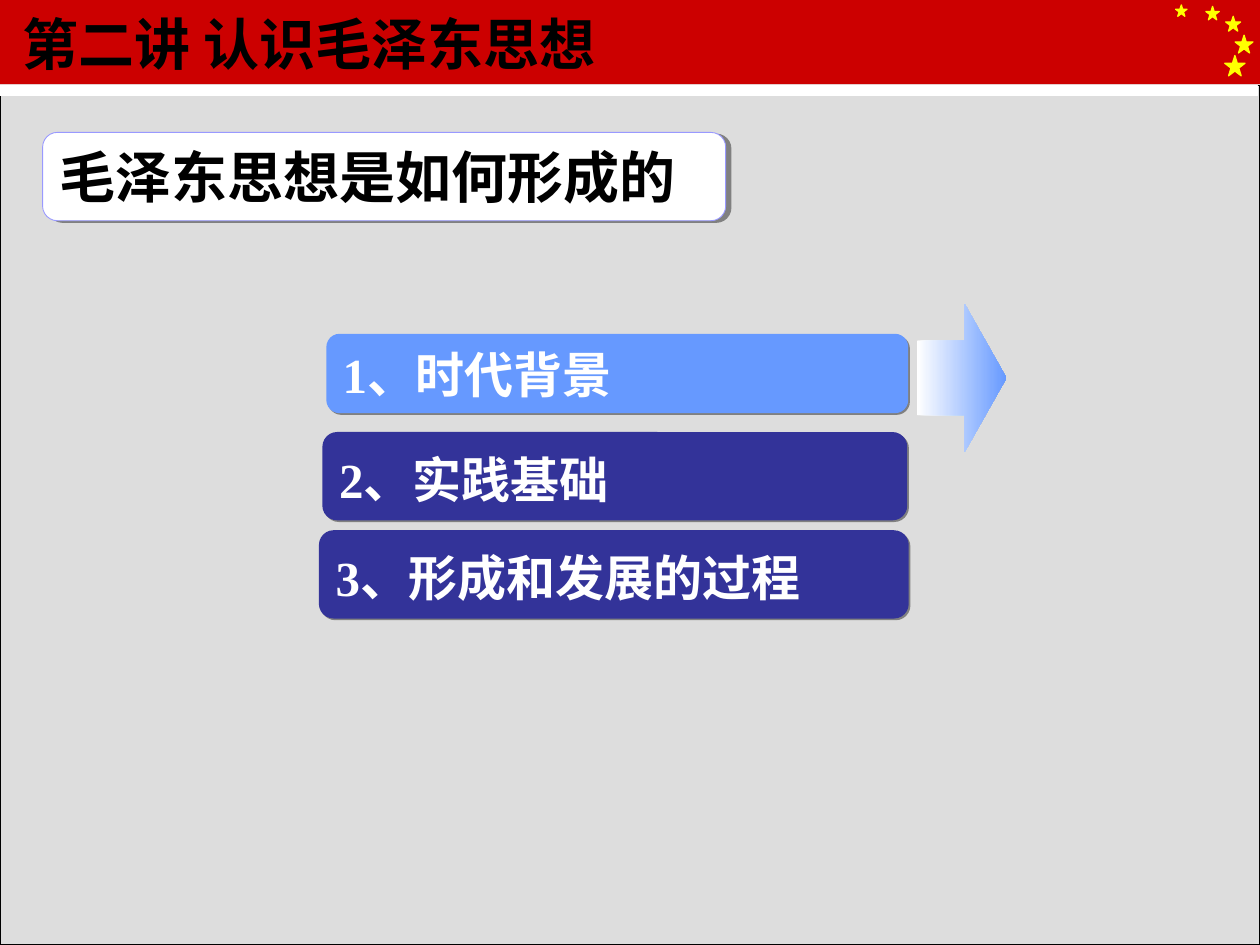
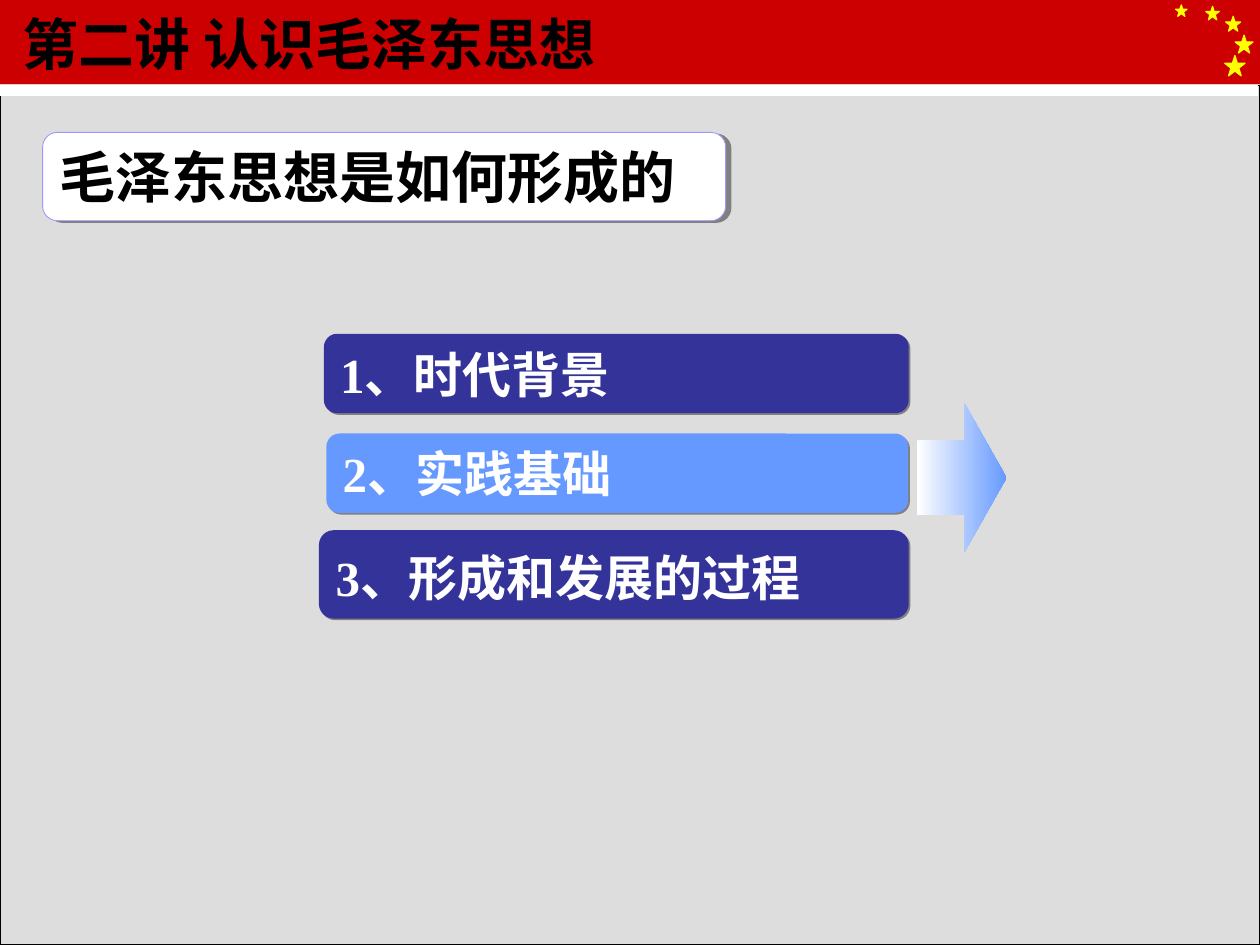
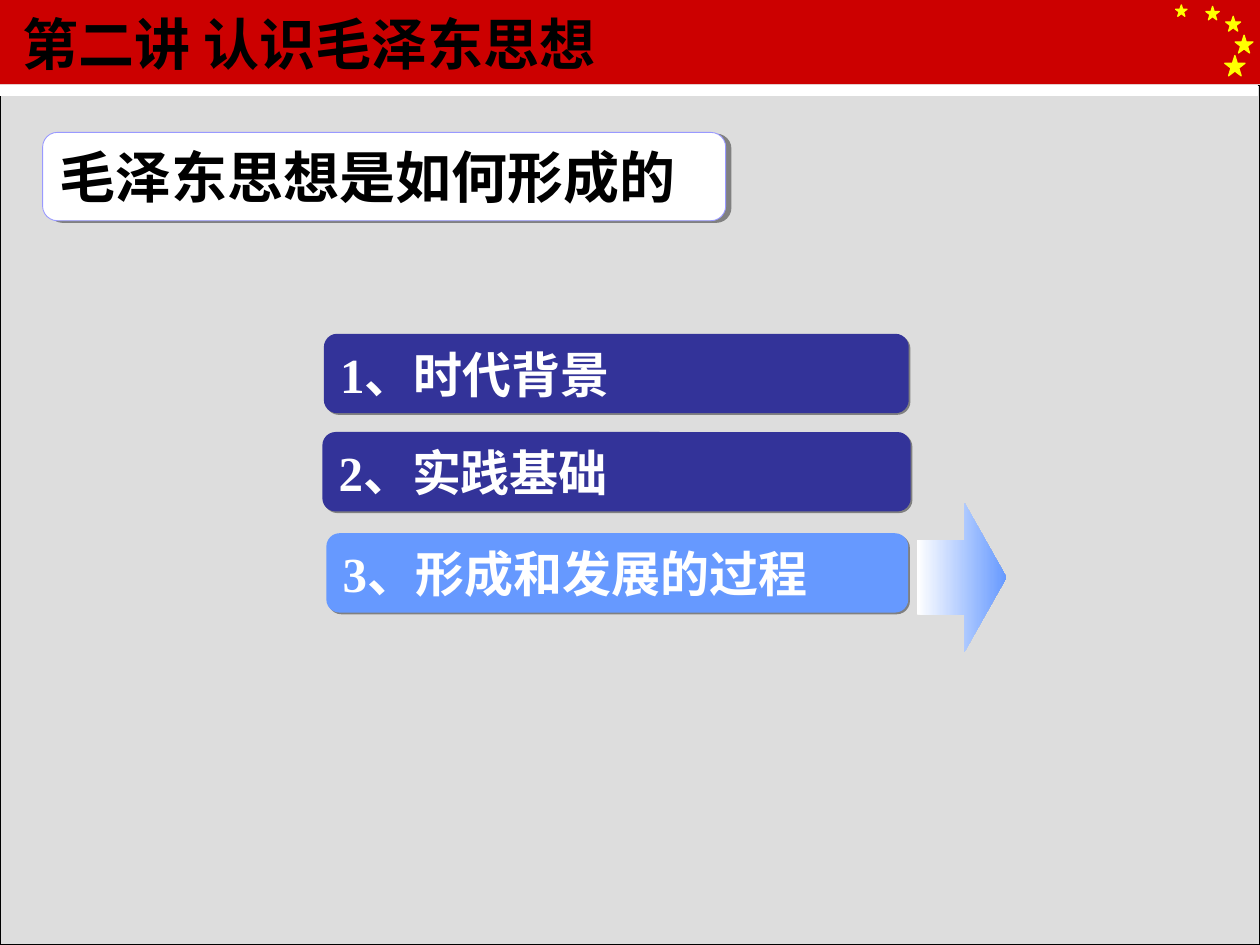
"""Three outline slides, each pointing at the topic that comes next."""
from lxml import etree
from pptx import Presentation
from pptx import util as u
from pptx.dml.color import RGBColor
from pptx.enum import shapes, text
from pptx.oxml import ns

HUE = {
    "back": "EAEAEA", "red": "CC0000", "star": "FFFF00", "body": "DDDDDD",
    "white": "FFFFFF", "black": "000000", "edge": "9999FF", "shade": "808080",
    "live": "6699FF", "idle": "333399",
}
HAN, ROMAN = "Noto Sans CJK SC", "Times New Roman"
KIND = shapes.MSO_SHAPE
TITLE = "第二讲 认识毛泽东思想"
HEAD = "毛泽东思想是如何形成的"
TOPICS = ["1、时代背景", "2、实践基础", "3、形成和发展的过程"]
STARS = [(23.7, 0.1, 0.23), (24.31, 0.13, 0.27), (24.71, 0.33, 0.3),
         (24.9, 0.71, 0.36), (24.69, 1.12, 0.41)]
LOW, TALL = 1.6, 1.78
TOP, STEP = 6.73, 2.01
FIRST = (6.53, TOP, 11.79, LOW)
LAST = (6.43, 10.69, 11.89, TALL)
PAGES = [
    {1: (6.5, 8.71, 11.79, TALL), 2: LAST},
    {0: FIRST, 2: LAST},
    {0: FIRST, 1: (6.5, 8.71, 11.86, LOW)},
]


def tint(name):
    """Return the named colour."""
    return RGBColor.from_string(HUE[name])


def draw(slide, kind, box, fill=None, line=None, width=0.75):
    """Add a flat preset shape; box is left, top, width, height in cm."""
    item = slide.shapes.add_shape(kind, *map(u.Cm, box))
    item.shadow.inherit = False
    if fill:
        item.fill.solid()
        item.fill.fore_color.rgb = tint(fill)
    if line:
        item.line.color.rgb = tint(line)
        item.line.width = u.Pt(width)
    else:
        item.line.fill.background()
    return item


def style(run, size, hue, face):
    """Format one bold run."""
    font = run.font
    font.size, font.bold, font.name = u.Pt(size), True, face
    font.color.rgb = tint(hue)
    east = etree.SubElement(font._element, ns.qn("a:ea"))
    east.set("typeface", HAN)


def write(item, words, size, hue, face):
    """Put one left-aligned line in the vertical middle of an item."""
    frame = item.text_frame
    frame.text = words
    frame.word_wrap = True
    frame.vertical_anchor = text.MSO_ANCHOR.MIDDLE
    line = frame.paragraphs[0]
    line.alignment = text.PP_ALIGN.LEFT
    style(line.runs[0], size, hue, face)
    return line


def shade(item, dist, angle):
    """Give an item a hard grey shadow."""
    effects = item._element.spPr.find(ns.qn("a:effectLst"))
    outer = etree.SubElement(effects, ns.qn("a:outerShdw"), blurRad="0",
                             dist=str(u.Pt(dist)), dir=str(angle * 60000),
                             algn="ctr", rotWithShape="0")
    etree.SubElement(outer, ns.qn("a:srgbClr"), val=HUE["shade"])


def frame(slide):
    """Draw the background, banner, stars and both headings."""
    slide.background.fill.solid()
    slide.background.fill.fore_color.rgb = tint("back")
    draw(slide, KIND.RECTANGLE, (0, 0, 25.4, 1.7), "red")
    for left, top, size in STARS:
        draw(slide, KIND.STAR_5_POINT, (left, top, size, size), "star", "star")
    draw(slide, KIND.RECTANGLE, (0, 1.73, 25.4, 17.32), "body", "black")
    draw(slide, KIND.RECTANGLE, (0, 1.73, 25.35, 0.2), "white", "white")
    title = slide.shapes.add_textbox(*map(u.Cm, (0.2, 0, 18.9, 1.73)))
    write(title, TITLE, 32, "black", HAN)
    head = draw(slide, KIND.ROUNDED_RECTANGLE, (0.86, 2.67, 13.77, TALL),
                "white", "edge", 0.5)
    shade(head, 3.2, 18)
    write(head, HEAD, 32, "black", HAN)


def bar(slide, words, box, fill):
    """Draw a topic bar; a tall one ends with a larger space."""
    item = draw(slide, KIND.ROUNDED_RECTANGLE, box, fill)
    shade(item, 1.4, 45)
    line = write(item, words, 28, "white", ROMAN)
    if box[3] == TALL:
        tail = line.add_run()
        tail.text = " "
        style(tail, 32, "white", ROMAN)


def arrow(slide, top):
    """Draw the fading arrow beside the current topic."""
    item = draw(slide, KIND.RIGHT_ARROW, (18.49, top, 1.8, 3))
    item.adjustments[1] = 0.47
    item.fill.gradient()
    item.fill.gradient_angle = 0
    for stop, pos, hue in zip(item.fill.gradient_stops, (0, 1), ("white", "live")):
        stop.position = pos
        stop.color.rgb = tint(hue)


def main():
    """Build and save the deck."""
    deck = Presentation()
    deck.slide_width, deck.slide_height = u.Cm(25.4), u.Cm(19.05)
    for now, idle in enumerate(PAGES):
        slide = deck.slides.add_slide(deck.slide_layouts[6])
        frame(slide)
        top = TOP + now * STEP
        arrow(slide, top - 0.61)
        bar(slide, TOPICS[now], (6.58, top, 11.73, LOW), "live")
        for row, box in idle.items():
            bar(slide, TOPICS[row], box, "idle")
    deck.save("out.pptx")


if __name__ == "__main__":
    main()
